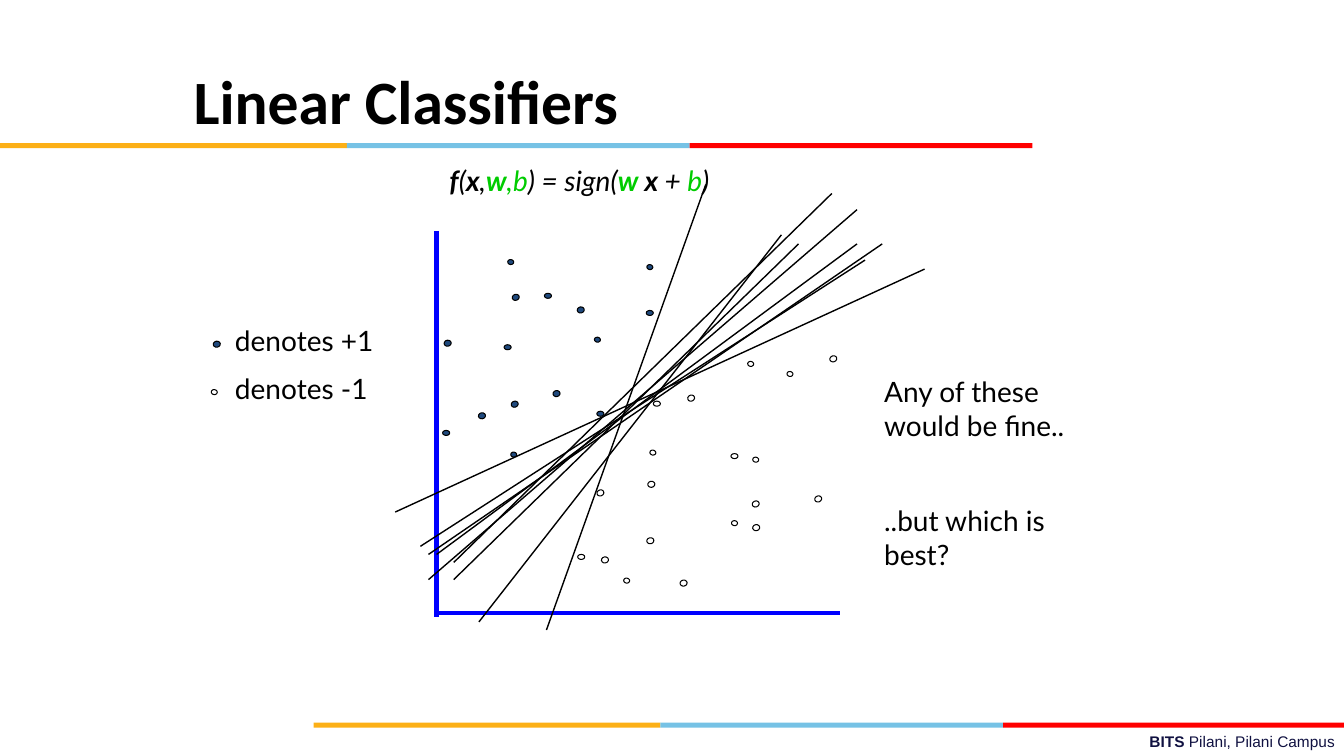
from dataclasses import dataclass

from lxml import etree
from pptx import Presentation
from pptx import util as u
from pptx.dml.color import RGBColor
from pptx.enum import shapes, text
from pptx.oxml.ns import qn


@dataclass(frozen=True)
class Theme:
    """Colours, fonts and type sizes of the slide."""
    black: str = "000000"
    white: str = "FFFFFF"
    navy: str = "1F497D"
    axis: str = "0000FF"
    green: str = "00CC00"
    footer: str = "101141"
    stripes: tuple = ("FCB017", "76C2E5", "FF0000")
    title_font: str = "Calibri"
    body_font: str = "Lato"
    footer_font: str = "Arial"
    title_size: int = 44
    body_size: int = 20
    footer_size: int = 11


THEME = Theme()

DOT_GROUPS = (
    (0, (0.07, 0.05),
     [(4.39, 4.27), (6.41, 3.08), (5.4, 2.91), (5.92, 4.08), (5, 3.42)],
     [(5.73, 5.5), (6.48, 3.98), (7.25, 4.5)]),
    (341.4, (0.07, 0.06),
     [(5.08, 2.92), (5.07, 3.98)],
     [(5.92, 4.86), (8.23, 3.53), (7.46, 4.97), (6.82, 3.92), (8.08, 4.92)]),
    (98.3, (0.05, 0.06),
     [(5.9, 3.34), (5.07, 4.48), (6.42, 2.62), (5.04, 2.57)],
     [(2.1, 3.86), (6.19, 5.73), (7.47, 4.53), (6.45, 4.46), (7.81, 3.68),
      (7.42, 3.58), (7.26, 5.16)]),
    (79.6, (0.06, 0.07),
     [(2.12, 3.38), (5.49, 3.87), (4.75, 4.09), (5.73, 3.04), (4.41, 3.37)],
     [(6.75, 5.75), (6.42, 5.33), (6.43, 4.77), (5.97, 5.52), (7.47, 5.2)]),
)

AXES = [((4.33, 2.29), (4.33, 6.12)), ((4.33, 6.08), (8.33, 6.08))]

CLASSIFIERS = [
    ((5.42, 6.25), (7, 1.83)), ((4.17, 5.42), (8.58, 2.58)),
    ((4.5, 5.75), (7.92, 2.42)), ((3.92, 5.08), (9.17, 2.67)),
    ((4.33, 5.5), (8.5, 2.42)), ((4.25, 5.75), (8.5, 2.08)),
    ((4.5, 5.58), (8.25, 1.92)), ((4.75, 6.17), (7.75, 2.33)),
    ((4.25, 5.5), (8.75, 2.42)),
]


def add_run(paragraph, words, font, size, color=THEME.black, bold=False, italic=False):
    """Append one formatted run."""
    run = paragraph.add_run()
    run.text = words
    run.font.name = font
    run.font.size = u.Pt(size)
    run.font.color.rgb = RGBColor.from_string(color)
    run.font.bold = bold
    run.font.italic = italic


def add_text_box(slide, left, top, width, height):
    """Add a wrapping text box and return its text frame."""
    box = slide.shapes.add_textbox(*map(u.Inches, (left, top, width, height)))
    box.text_frame.word_wrap = True
    return box.text_frame


def add_paragraphs(frame, lines, gap):
    """Write body lines as paragraphs separated by a gap in points."""
    for index, line in enumerate(lines):
        paragraph = frame.add_paragraph() if index else frame.paragraphs[0]
        if index:
            paragraph.space_before = u.Pt(gap)
        add_run(paragraph, line, THEME.body_font, THEME.body_size)


def add_filled_shape(slide, kind, box, color):
    """Add a preset shape with a flat fill and no outline."""
    shape = slide.shapes.add_shape(kind, *map(u.Inches, box))
    shape.shadow.inherit = False
    shape.fill.solid()
    shape.fill.fore_color.rgb = RGBColor.from_string(color)
    shape.line.fill.background()
    return shape


def add_stripes(slide, left, top):
    """Add the three-coloured band."""
    for color, width in zip(THEME.stripes, (3.44, 3.4, 3.4)):
        add_filled_shape(slide, shapes.MSO_SHAPE.RECTANGLE, (left, top, width, 0.05), color)
        left += width


def add_dots(slide, positions, size, rotation, color):
    """Add outlined data points."""
    for position in positions:
        dot = add_filled_shape(slide, shapes.MSO_SHAPE.OVAL, position + size, color)
        dot.rotation = rotation
        dot.line.color.rgb = RGBColor.from_string(THEME.black)
        dot.line.width = u.Pt(0.75)


def add_lines(slide, segments, color, width):
    """Add straight lines between pairs of points."""
    for start, end in segments:
        line = slide.shapes.add_connector(
            shapes.MSO_CONNECTOR.STRAIGHT, *map(u.Inches, start + end))
        line.line.color.rgb = RGBColor.from_string(color)
        line.line.width = u.Pt(width)
        etree.SubElement(line._element.spPr, qn("a:effectLst"))


def add_title(slide, words):
    """Place and format the title placeholder."""
    title = slide.shapes.title
    title.left, title.top, title.width, title.height = map(u.Inches, (1.67, 0.66, 5.08, 0.75))
    frame = title.text_frame
    frame.auto_size = text.MSO_AUTO_SIZE.NONE
    frame.vertical_anchor = text.MSO_ANCHOR.BOTTOM
    frame.margin_left = u.Inches(0.25)
    paragraph = frame.paragraphs[0]
    paragraph.alignment = text.PP_ALIGN.LEFT
    add_run(paragraph, words, THEME.title_font, THEME.title_size, bold=True)


def add_formula(slide):
    """Write the decision function with its parameters in green."""
    paragraph = add_text_box(slide, 4.36, 1.57, 3.5, 0.43).paragraphs[0]
    pieces = (
        ("f", THEME.black, True), ("(", THEME.black, False),
        ("x", THEME.black, True), (",", THEME.black, False),
        ("w", THEME.green, True), (",b", THEME.green, False),
        (") = sign(", THEME.black, False), ("w", THEME.green, True),
        (" x ", THEME.black, True), ("+ ", THEME.black, False),
        ("b", THEME.green, False), (")", THEME.black, False),
    )
    for words, color, bold in pieces:
        add_run(paragraph, words, THEME.body_font, THEME.body_size, color, bold, True)


def add_footer(slide):
    """Write the campus name at the lower right."""
    paragraph = add_text_box(slide, 4.78, 7.21, 8.56, 0.29).paragraphs[0]
    paragraph.alignment = text.PP_ALIGN.RIGHT
    for words, bold in (("BITS ", True), ("Pilani, Pilani Campus", False)):
        add_run(paragraph, words, THEME.footer_font, THEME.footer_size, THEME.footer, bold)


def main():
    """Build and save the slide."""
    presentation = Presentation()
    presentation.slide_width = u.Inches(13.33)
    presentation.slide_height = u.Inches(7.5)
    slide = presentation.slides.add_slide(presentation.slide_layouts[5])

    add_title(slide, "Linear Classifiers")
    add_footer(slide)
    add_stripes(slide, 3.11, 7.17)
    add_stripes(slide, 0, 1.42)

    legend = add_text_box(slide, 2.09, 3.16, 2.08, 0.93)
    legend.margin_left = u.Inches(0.24)
    add_paragraphs(legend, ("denotes +1", "denotes -1"), 10)

    add_lines(slide, AXES, THEME.axis, 3)
    for rotation, size, positives, negatives in DOT_GROUPS:
        add_dots(slide, positives, size, rotation, THEME.navy)
        add_dots(slide, negatives, size, rotation, THEME.white)
    add_formula(slide)
    add_lines(slide, CLASSIFIERS, THEME.black, 1)

    remarks = add_text_box(slide, 8.67, 3.67, 2.42, 2.1)
    add_paragraphs(remarks, ("Any of these would be fine..", "..but which is best?"), 44)

    presentation.save("out.pptx")


if __name__ == "__main__":
    main()
